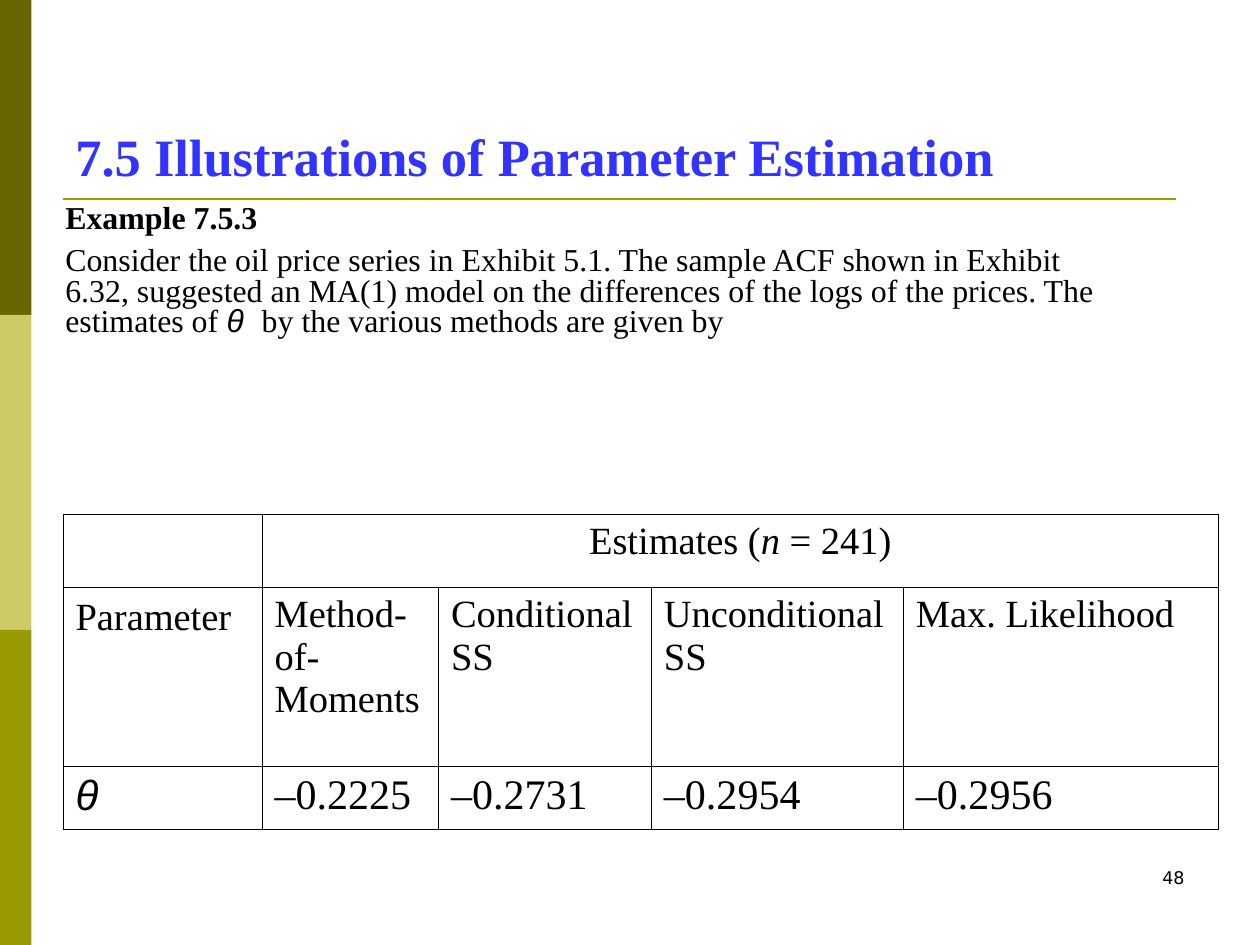
from typing import NamedTuple

from lxml import etree
from pptx import Presentation
from pptx.dml.color import RGBColor
from pptx.enum import shapes, text
from pptx.oxml import ns
from pptx.util import Inches, Pt

BLACK = RGBColor(0x00, 0x00, 0x00)
BLUE = RGBColor(0x33, 0x33, 0xFF)
DARK_OLIVE = RGBColor(0x66, 0x66, 0x00)
LIGHT_OLIVE = RGBColor(0xCC, 0xCC, 0x66)
OLIVE = RGBColor(0x99, 0x99, 0x00)

SERIF, SANS, SYMBOL = "Times New Roman", "DejaVu Sans", "Arial"
LEFT, CENTER, RIGHT = text.PP_ALIGN.LEFT, text.PP_ALIGN.CENTER, text.PP_ALIGN.RIGHT


class Run(NamedTuple):
    text: str
    size: float
    font: str = SERIF
    bold: bool = False
    italic: bool = False
    color: RGBColor = BLACK


class Box(NamedTuple):
    left: float
    top: float
    width: float
    height: float
    paragraphs: list[list[Run]]
    align: text.PP_ALIGN = LEFT
    anchor: text.MSO_ANCHOR = text.MSO_ANCHOR.TOP
    line_spacing: float = 1.0
    space_before: float = 0


class Cell(NamedTuple):
    row: int
    col: int
    runs: list[Run]
    align: text.PP_ALIGN = LEFT


def add_runs(p, runs: list[Run], align: text.PP_ALIGN) -> None:
    p.alignment = align
    for run in runs:
        r = p.add_run()
        r.text = run.text
        r.font.size = Pt(run.size)
        r.font.name = run.font
        r.font.bold = run.bold
        r.font.italic = run.italic
        r.font.color.rgb = run.color


def add_box(s, box: Box) -> None:
    sp = s.shapes.add_textbox(*map(Inches, box[:4]))
    tf = sp.text_frame
    tf.word_wrap = True
    tf.vertical_anchor = box.anchor
    for i, runs in enumerate(box.paragraphs):
        p = tf.add_paragraph() if i else tf.paragraphs[0]
        p.line_spacing = box.line_spacing
        p.space_before = Pt(box.space_before)
        add_runs(p, runs, box.align)


def add_band(s, top: float, color: RGBColor) -> None:
    sp = s.shapes.add_shape(shapes.MSO_SHAPE.RECTANGLE, 0, Inches(top),
                            Inches(0.25), Inches(2.5))
    sp.shadow.inherit = False
    sp.fill.solid()
    sp.fill.fore_color.rgb = color
    sp.line.fill.background()


def add_borders(cell, color: RGBColor, width: float) -> None:
    tc_pr = cell._tc.get_or_add_tcPr()
    for i, side in enumerate(("lnL", "lnR", "lnT", "lnB")):
        ln = etree.Element(ns.qn(f"a:{side}"), w=str(Pt(width)))
        fill = etree.SubElement(ln, ns.qn("a:solidFill"))
        etree.SubElement(fill, ns.qn("a:srgbClr"), val=str(color))
        tc_pr.insert(i, ln)


def add_estimates(s, widths: list[float], heights: list[float],
                  cells: list[Cell]) -> None:
    frame = s.shapes.add_table(len(heights), len(widths), Inches(0.5), Inches(4.08),
                               Inches(sum(widths)), Inches(sum(heights)))
    table = frame.table
    table.first_row = table.horz_banding = False
    for column, width in zip(table.columns, widths):
        column.width = Inches(width)
    for row, height in zip(table.rows, heights):
        row.height = Inches(height)
    for cell in table.iter_cells():
        cell.fill.background()
        add_borders(cell, BLACK, 0.45)
    table.cell(0, 1).merge(table.cell(0, len(widths) - 1))
    for item in cells:
        p = table.cell(item.row, item.col).text_frame.paragraphs[0]
        add_runs(p, item.runs, item.align)


def main() -> None:
    prs = Presentation()
    prs.slide_width, prs.slide_height = Inches(10), Inches(7.5)
    s = prs.slides.add_slide(prs.slide_layouts[6])

    # Side bands and title rule
    for i, color in enumerate((DARK_OLIVE, LIGHT_OLIVE, OLIVE)):
        add_band(s, 2.5 * i, color)
    rule = s.shapes.add_connector(shapes.MSO_CONNECTOR.STRAIGHT, Inches(0.5),
                                  Inches(1.58), Inches(9.33), Inches(1.58))
    rule.line.color.rgb = OLIVE
    rule.line.width = Pt(1.5)
    etree.SubElement(rule._element.spPr, ns.qn("a:effectLst"))

    # Page number, title and example
    add_box(s, Box(7.17, 6.83, 2.33, 0.5, [[Run("48", 10, SANS)]], RIGHT))
    title = Run("7.5 Illustrations of Parameter Estimation", 30, bold=True, color=BLUE)
    add_box(s, Box(0.5, 0.83, 9, 0.7, [[title]], anchor=text.MSO_ANCHOR.BOTTOM))
    example = [
        [Run("Example 7.5.3", 18.2, bold=True)],
        [Run("Consider the oil price series in Exhibit 5.1. The sample ACF shown in "
             "Exhibit 6.32, suggested an MA(1) model on the differences of the logs "
             "of the prices. The estimates of ", 18.2),
         Run("θ  ", 18.2, SYMBOL, italic=True),
         Run("by the various methods are given by", 18.2)],
    ]
    add_box(s, Box(0.42, 1.58, 8.67, 5.42, example, line_spacing=0.8, space_before=6.5))

    # Table of estimates
    estimates = [("Method- of-Moments", "–0.2225"), ("Conditional SS", "–0.2731"),
                 ("Unconditional SS", "–0.2954"), ("Max. Likelihood", "–0.2956")]
    cells = [
        Cell(0, 1, [Run("Estimates (", 22), Run("n", 22, italic=True),
                    Run(" = 241)", 22)], CENTER),
        Cell(1, 0, [Run("Parameter ", 22), Run(" ", 24)]),
        Cell(2, 0, [Run("θ", 24, SYMBOL, italic=True)]),
    ]
    for col, (method, value) in enumerate(estimates, start=1):
        cells += [Cell(1, col, [Run(method, 22)]), Cell(2, col, [Run(value, 24)])]
    add_estimates(s, [1.58, 1.4, 1.69, 2, 2.5], [0.58, 1.42, 0.5], cells)

    prs.save("out.pptx")


if __name__ == "__main__":
    main()
